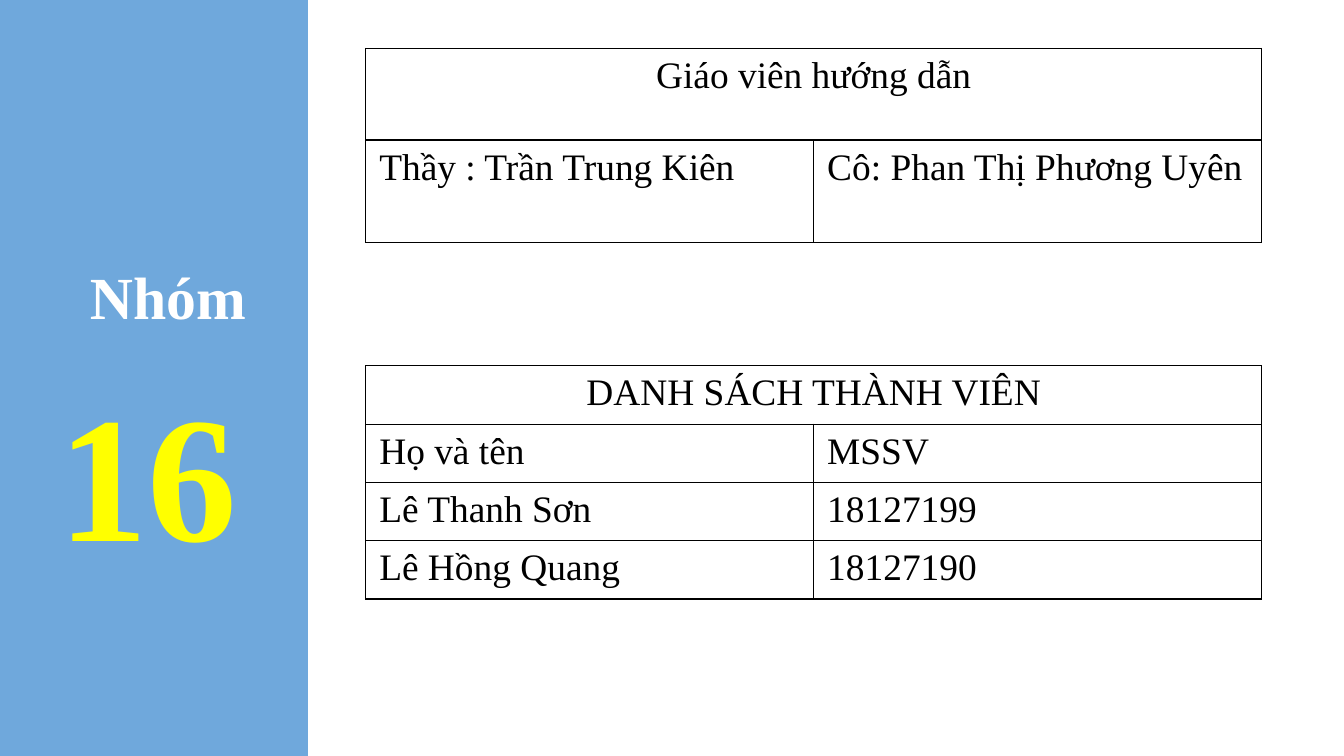
from dataclasses import dataclass

from lxml import etree
from pptx import Presentation
from pptx.dml.color import RGBColor
from pptx.enum.shapes import MSO_SHAPE
from pptx.enum.text import MSO_ANCHOR, PP_ALIGN
from pptx.oxml.ns import qn
from pptx.util import Pt

RECT = MSO_SHAPE.RECTANGLE
TOP = MSO_ANCHOR.TOP
LEFT, CENTER = PP_ALIGN.LEFT, PP_ALIGN.CENTER


@dataclass(frozen=True)
class Theme:
    font: str = "Times New Roman"
    blue: str = "6FA8DC"
    white: str = "FFFFFF"
    yellow: str = "FFFF00"
    black: str = "000000"
    body: int = 20
    title: int = 32
    number: int = 96
    border: float = 0.75
    inset: float = 7.2


class Deck:
    def __init__(self, theme, width, height):
        self.theme = theme
        self.file = Presentation()
        self.file.slide_width, self.file.slide_height = Pt(width), Pt(height)
        self.slide = self.file.slides.add_slide(self.file.slide_layouts[6])

    def back(self, color):
        fill = self.slide.background.fill
        fill.solid()
        fill.fore_color.rgb = RGBColor.from_string(color)

    def rect(self, box, color):
        shape = self.slide.shapes.add_shape(RECT, *map(Pt, box))
        shape.shadow.inherit = False
        shape.fill.solid()
        shape.fill.fore_color.rgb = RGBColor.from_string(color)
        shape.line.fill.background()

    def text(self, frame, words, size, color, align=LEFT, bold=False):
        para = frame.paragraphs[0]
        para.alignment = align
        run = para.add_run()
        run.text = words
        font = run.font
        font.name, font.size, font.bold = self.theme.font, Pt(size), bold
        font.color.rgb = RGBColor.from_string(color)

    def label(self, box, words, size, color, head, align=LEFT):
        """Add a bold text box; head is its top inset."""
        frame = self.slide.shapes.add_textbox(*map(Pt, box)).text_frame
        frame.word_wrap = True
        frame.vertical_anchor = TOP
        frame.margin_left = frame.margin_right = Pt(self.theme.inset)
        frame.margin_top, frame.margin_bottom = Pt(head), Pt(self.theme.inset)
        self.text(frame, words, size, color, align, bold=True)

    def edge(self, cell):
        """Draw a line on all four sides of a cell."""
        props = cell._tc.get_or_add_tcPr()
        for index, side in enumerate(("lnL", "lnR", "lnT", "lnB")):
            line = etree.Element(qn(f"a:{side}"), w=str(Pt(self.theme.border)))
            fill = etree.SubElement(line, qn("a:solidFill"))
            etree.SubElement(fill, qn("a:srgbClr"), val=self.theme.black)
            props.insert(index, line)

    def table(self, left, top, width, heights, title, rows):
        """Add a two-column table under a title that spans both columns."""
        size = (left, top, width, sum(heights))
        grid = self.slide.shapes.add_table(len(heights), 2, *map(Pt, size)).table
        grid.first_row = grid.horz_banding = False
        for col in grid.columns:
            col.width = Pt(width / 2)
        for row, height in zip(grid.rows, heights):
            row.height = Pt(height)
        for cell in grid.iter_cells():
            cell.fill.background()
            self.edge(cell)
        head = grid.cell(0, 0)
        head.merge(grid.cell(0, 1))
        color = self.theme.black
        self.text(head.text_frame, title, self.theme.body, color, CENTER)
        for r, row in enumerate(rows, 1):
            for c, words in enumerate(row):
                frame = grid.cell(r, c).text_frame
                self.text(frame, words, self.theme.body, color)


def main():
    theme = Theme()
    deck = Deck(theme, 720, 405)
    deck.back(theme.blue)
    deck.rect((165, 0, 555, 405), theme.white)
    deck.label((24, 176, 132, 98), "16", theme.number, theme.yellow, 18)
    deck.label((16, 128, 148, 68), "Nhóm", theme.title, theme.white, 11, CENTER)

    left, width = 196, 480
    deck.table(left, 26, width, (49, 55), "Giáo viên hướng dẫn", [
        ("Thầy : Trần Trung Kiên", "Cô: Phan Thị Phương Uyên"),
    ])
    deck.table(left, 196, width, [29.4] * 4, "DANH SÁCH THÀNH VIÊN", [
        ("Họ và tên", "MSSV"),
        ("Lê Thanh Sơn", "18127199"),
        ("Lê Hồng Quang", "18127190"),
    ])
    deck.file.save("out.pptx")


if __name__ == "__main__":
    main()
